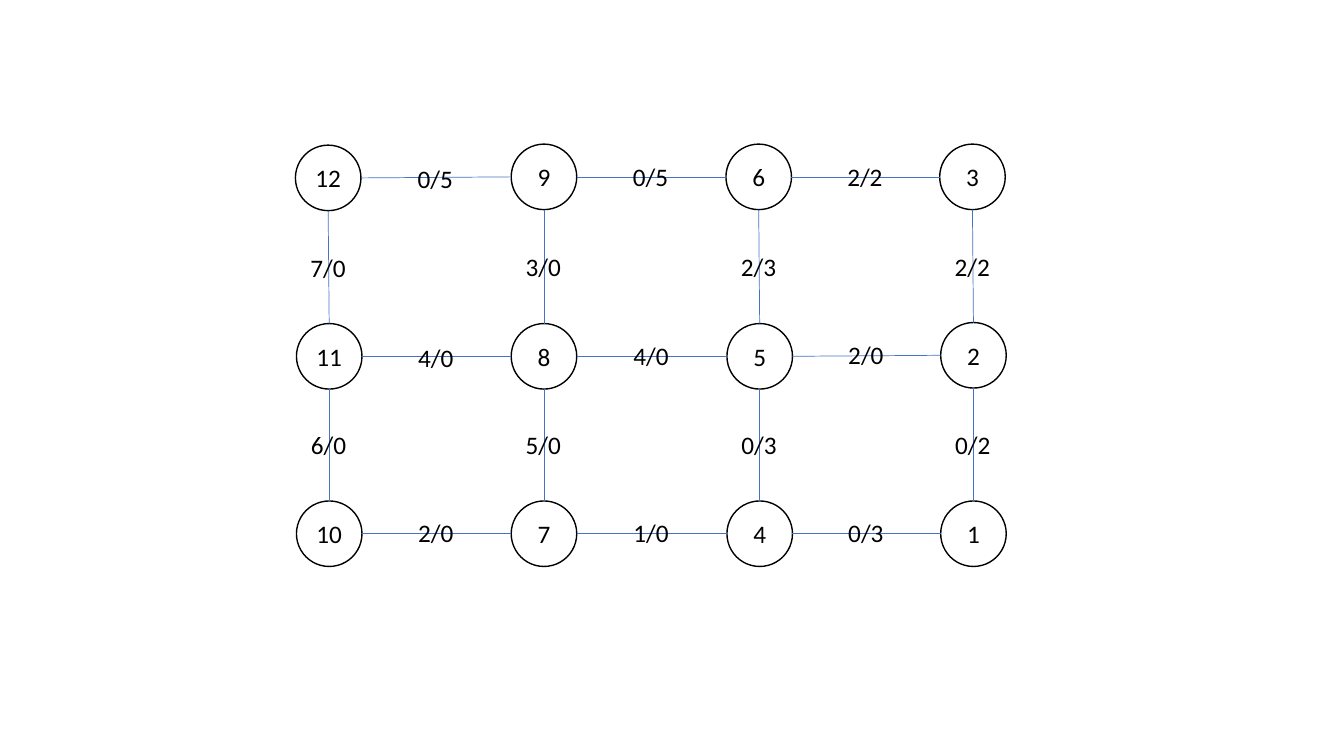
from typing import NamedTuple

from lxml import etree
from pptx import Presentation
from pptx.dml.color import RGBColor
from pptx.enum.shapes import MSO_CONNECTOR, MSO_SHAPE
from pptx.enum.text import MSO_ANCHOR, MSO_AUTO_SIZE, PP_ALIGN
from pptx.oxml.ns import qn
from pptx.util import Inches, Pt

STRAIGHT = MSO_CONNECTOR.STRAIGHT
OVAL = MSO_SHAPE.OVAL
MIDDLE, TOP = MSO_ANCHOR.MIDDLE, MSO_ANCHOR.TOP
CENTER, LEFT = PP_ALIGN.CENTER, PP_ALIGN.LEFT
FIT_SHAPE = MSO_AUTO_SIZE.SHAPE_TO_FIT_TEXT

COLORS = {"white": "FFFFFF", "black": "000000", "blue": "4472C4"}
FONT = "Calibri"

# Node grid: numbers rise upward in each column, from right to left
COLUMN_LEFTS = [9.33, 7.21, 5.07, 2.94]
ROW_TOPS = [4.97, 3.21, 1.44]
DIAMETER = 0.65
RADIUS = DIAMETER / 2
LABEL_WIDTH, LABEL_HEIGHT = 0.56, 0.4
NUDGES = {2: (0, -0.01), 3: (-0.01, -0.01), 6: (-0.01, -0.01),
          9: (0, -0.01), 12: (-0.01, 0)}


class Node(NamedTuple):
    number: int
    x: float  # centre
    y: float


class Edge(NamedTuple):
    start: int
    end: int
    label: str
    drop: float = 0  # shift of the label below the line's middle


EDGES = [
    # Across, left to right
    Edge(12, 9, "0/5", 0.01), Edge(9, 6, "0/5"), Edge(6, 3, "2/2"),
    Edge(11, 8, "4/0", 0.01), Edge(8, 5, "4/0", -0.01), Edge(5, 2, "2/0", -0.01),
    Edge(10, 7, "2/0", -0.01), Edge(7, 4, "1/0", -0.01), Edge(4, 1, "0/3", -0.01),
    # Down, top to bottom
    Edge(12, 11, "7/0"), Edge(9, 8, "3/0"), Edge(6, 5, "2/3"), Edge(3, 2, "2/2"),
    Edge(11, 10, "6/0"), Edge(8, 7, "5/0"), Edge(5, 4, "0/3"), Edge(2, 1, "0/2"),
]


def color(name: str) -> RGBColor:
    return RGBColor.from_string(COLORS[name])


def write(frame, text: str, *, size=18, ink="black", align=LEFT, anchor=TOP) -> None:
    frame.vertical_anchor = anchor
    para = frame.paragraphs[0]
    para.alignment = align
    span = para.add_run()
    span.text = text
    span.font.name = FONT
    span.font.size = Pt(size)
    span.font.color.rgb = color(ink)


def draw_node(page, node: Node) -> None:
    circle = page.shapes.add_shape(
        OVAL, Inches(node.x - RADIUS), Inches(node.y - RADIUS),
        Inches(DIAMETER), Inches(DIAMETER))
    circle.shadow.inherit = False
    circle.fill.solid()
    circle.fill.fore_color.rgb = color("white")
    circle.line.color.rgb = color("black")
    circle.line.width = Pt(1)
    frame = circle.text_frame
    frame.word_wrap = False
    write(frame, str(node.number), align=CENTER, anchor=MIDDLE)


def draw_line(page, start: Node, end: Node) -> None:
    across = end.x - start.x > end.y - start.y
    dx, dy = (RADIUS, 0) if across else (0, RADIUS)
    line = page.shapes.add_connector(
        STRAIGHT, Inches(start.x + dx), Inches(start.y + dy),
        Inches(end.x - dx), Inches(end.y - dy))
    line.line.color.rgb = color("blue")
    line.line.width = Pt(0.5)
    etree.SubElement(line._element.spPr, qn("a:effectLst"))


def draw_label(page, start: Node, end: Node, edge: Edge) -> None:
    left = (start.x + end.x - LABEL_WIDTH) / 2
    top = (start.y + end.y - LABEL_HEIGHT) / 2 + edge.drop
    box = page.shapes.add_textbox(
        Inches(left), Inches(top), Inches(LABEL_WIDTH), Inches(LABEL_HEIGHT))
    box.text_frame.word_wrap = False
    box.text_frame.auto_size = FIT_SHAPE
    write(box.text_frame, edge.label)


deck = Presentation()
deck.slide_width, deck.slide_height = Inches(13.33), Inches(7.5)
page = deck.slides.add_slide(deck.slide_layouts[6])

# Nodes
nodes = {}
for column, left in enumerate(COLUMN_LEFTS):
    for row, top in enumerate(ROW_TOPS):
        number = column * len(ROW_TOPS) + row + 1
        dx, dy = NUDGES.get(number, (0, 0))
        nodes[number] = Node(number, left + RADIUS + dx, top + RADIUS + dy)
        draw_node(page, nodes[number])

# Lines, then the labels over them
for edge in EDGES:
    draw_line(page, nodes[edge.start], nodes[edge.end])
for edge in EDGES:
    draw_label(page, nodes[edge.start], nodes[edge.end], edge)

deck.save("out.pptx")
